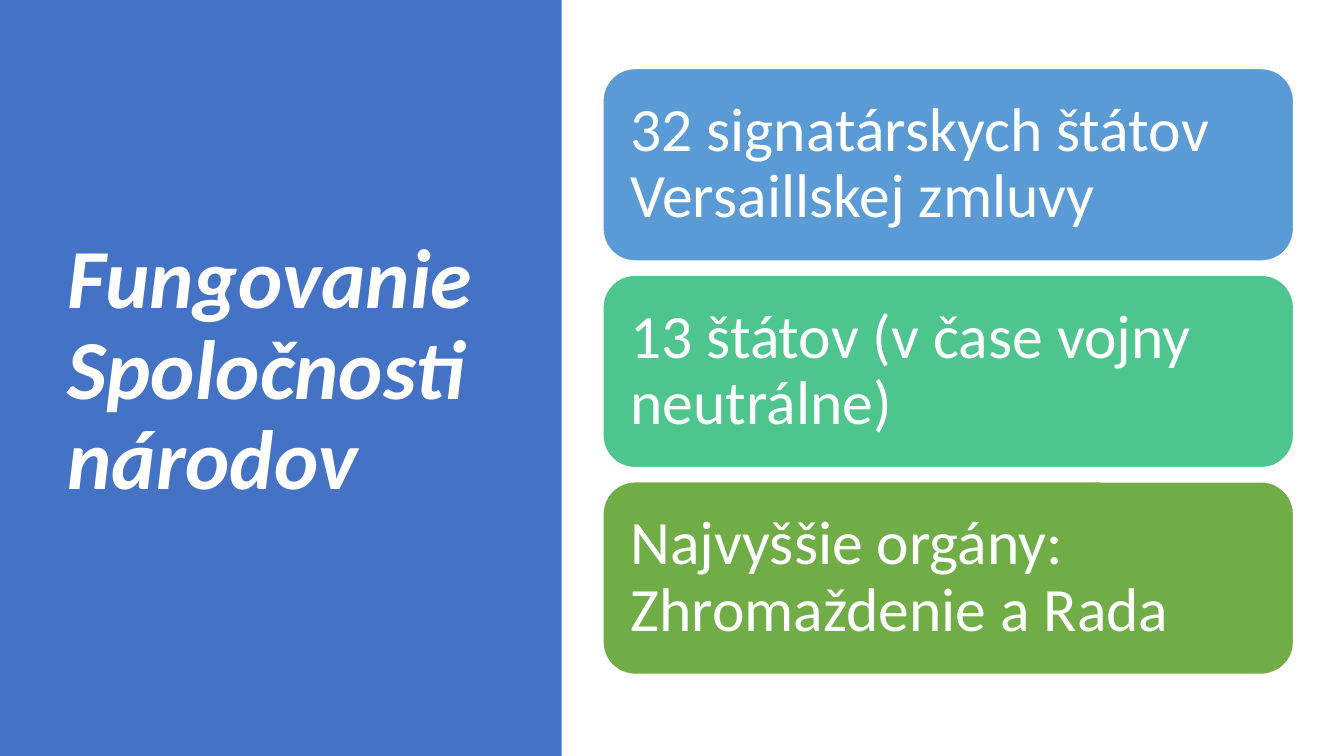
from dataclasses import dataclass

from pptx import Presentation
from pptx.dml.color import RGBColor
from pptx.enum.shapes import MSO_SHAPE
from pptx.enum.text import MSO_ANCHOR, MSO_AUTO_SIZE, PP_ALIGN
from pptx.util import Inches, Pt


@dataclass(frozen=True)
class Theme:
    font: str = "Calibri"
    white: RGBColor = RGBColor.from_string("FFFFFF")
    panel: RGBColor = RGBColor.from_string("4472C4")
    blue: RGBColor = RGBColor.from_string("5B9BD5")
    teal: RGBColor = RGBColor.from_string("4DC58D")
    green: RGBColor = RGBColor.from_string("70AD47")
    title_size: int = 60
    card_size: int = 44


theme = Theme()


def write(shape, text, size, inset, bold=False, italic=False):
    frame = shape.text_frame
    frame.text = text
    frame.word_wrap = True
    frame.auto_size = MSO_AUTO_SIZE.NONE
    frame.vertical_anchor = MSO_ANCHOR.MIDDLE
    frame.margin_left = frame.margin_right = Inches(inset)
    frame.margin_top = frame.margin_bottom = Inches(inset)
    line = frame.paragraphs[0]
    line.alignment = PP_ALIGN.LEFT
    line.line_spacing = 0.9
    font = line.runs[0].font
    font.name, font.size = theme.font, Pt(size)
    font.bold, font.italic = bold, italic
    font.color.rgb = theme.white


deck = Presentation()
deck.slide_width, deck.slide_height = Inches(13.33), Inches(7.5)
slide = deck.slides.add_slide(deck.slide_layouts[5])

# Left panel, placed behind the title
panel = slide.shapes.add_shape(
    MSO_SHAPE.RECTANGLE, 0, 0, Inches(5.57), deck.slide_height)
panel.shadow.inherit = False
panel.fill.solid()
panel.fill.fore_color.rgb = theme.panel
panel.line.fill.background()
title = slide.shapes.title
title.element.addprevious(panel.element)

# Title
title.left, title.top = Inches(0.57), Inches(0.68)
title.width, title.height = Inches(4.31), Inches(6.02)
write(title, "Fungovanie Spoločnosti národov", size=theme.title_size,
      inset=0.1, bold=True, italic=True)

# Column of cards
cards = [
    ("32 signatárskych štátov Versaillskej zmluvy", theme.blue),
    ("13 štátov (v čase vojny neutrálne)", theme.teal),
    ("Najvyššie orgány: Zhromaždenie a Rada", theme.green),
]
cards_top, card_height, card_pitch = 0.68, 1.91, 2.05
for row, (statement, color) in enumerate(cards):
    card = slide.shapes.add_shape(
        MSO_SHAPE.ROUNDED_RECTANGLE,
        Inches(5.98), Inches(cards_top + row * card_pitch),
        Inches(6.85), Inches(card_height))
    card.shadow.inherit = False
    card.fill.solid()
    card.fill.fore_color.rgb = color
    card.line.color.rgb = theme.white
    card.line.width = Pt(1)
    write(card, statement, size=theme.card_size, inset=0.18)

deck.save("out.pptx")
